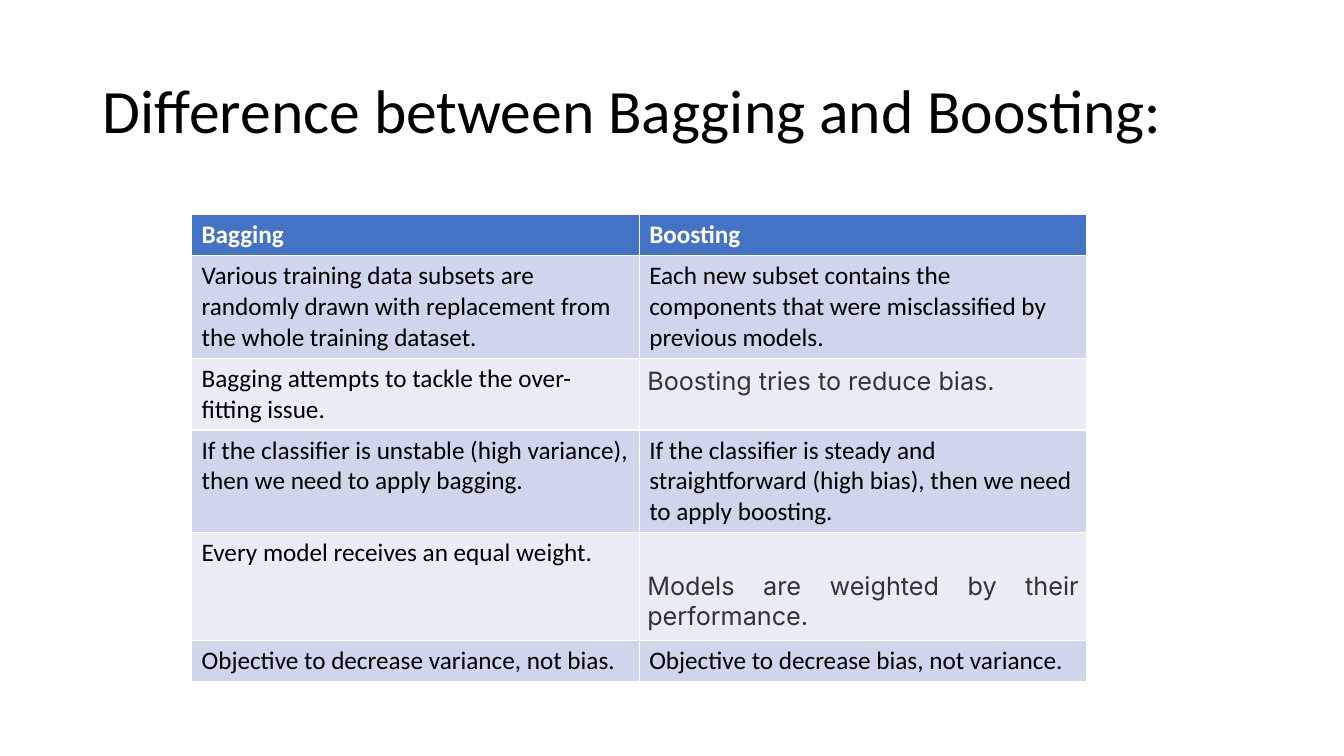
from pptx import Presentation
from pptx import util as u
from pptx.dml import color
from pptx.enum import text


def style(p, size, name, hex_color, bold=False):
    for r in p.runs:
        r.font.size = u.Pt(size)
        r.font.name = name
        r.font.bold = bold
        r.font.color.rgb = color.RGBColor.from_string(hex_color)


prs = Presentation()
prs.slide_width = u.Inches(13.33)
prs.slide_height = u.Inches(7.5)
s = prs.slides.add_slide(prs.slide_layouts[5])

title = s.shapes.title
title.left, title.top = u.Inches(0.92), u.Inches(0.4)
title.width, title.height = u.Inches(11.5), u.Inches(1.45)
tf = title.text_frame
tf.text = "Difference between Bagging and Boosting:"
tf.auto_size = text.MSO_AUTO_SIZE.NONE
tf.vertical_anchor = text.MSO_ANCHOR.MIDDLE
p = tf.paragraphs[0]
p.alignment = text.PP_ALIGN.LEFT
p.line_spacing = 0.9
style(p, 44, "Calibri", "000000")

rows = [
    ("Bagging", "Boosting"),
    ("Various training data subsets are randomly drawn with replacement from the whole training dataset.",
     "Each new subset contains the components that were misclassified by previous models."),
    ("Bagging attempts to tackle the over-fitting issue.",
     "Boosting tries to reduce bias."),
    ("If the classifier is unstable (high variance), then we need to apply bagging.",
     "If the classifier is steady and straightforward (high bias), then we need to apply boosting."),
    ("Every model receives an equal weight.",
     "Models are weighted by their performance."),
    ("Objective to decrease variance, not bias.",
     "Objective to decrease bias, not variance."),
]
heights = [0.4, 1.02, 0.71, 1.02, 1.07, 0.4]
inter_tops = {(2, 1): 0.08, (4, 1): 0.38}

table = s.shapes.add_table(len(rows), 2, u.Inches(1.9), u.Inches(2.13),
                           u.Inches(8.88), u.Inches(sum(heights))).table
for col in table.columns:
    col.width = u.Inches(4.44)

for i, (row, height) in enumerate(zip(rows, heights)):
    table.rows[i].height = u.Inches(height)
    fill = "4472C4" if i == 0 else ("E9EBF5", "CFD5EA")[i % 2]
    for j, words in enumerate(row):
        cell = table.cell(i, j)
        cell.fill.solid()
        cell.fill.fore_color.rgb = color.RGBColor.from_string(fill)
        cell.text_frame.text = words
        p = cell.text_frame.paragraphs[0]
        if (i, j) in inter_tops:
            cell.margin_left = cell.margin_right = cell.margin_bottom = u.Inches(0.08)
            cell.margin_top = u.Inches(inter_tops[i, j])
            p.alignment = text.PP_ALIGN.JUSTIFY
            style(p, 18, "Inter", "333333")
        else:
            style(p, 18, "Calibri", "FFFFFF" if i == 0 else "000000", i == 0)

prs.save("out.pptx")
